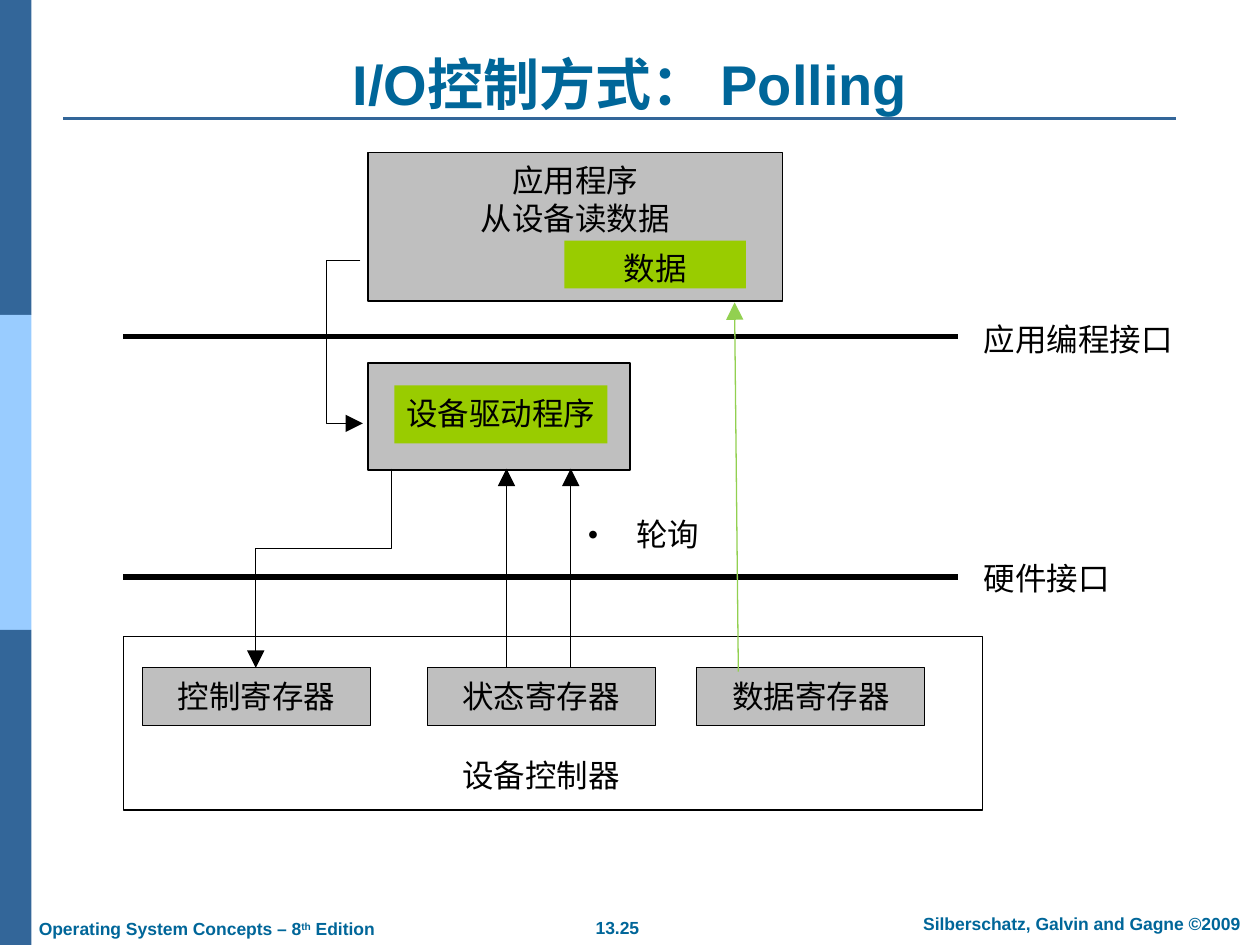
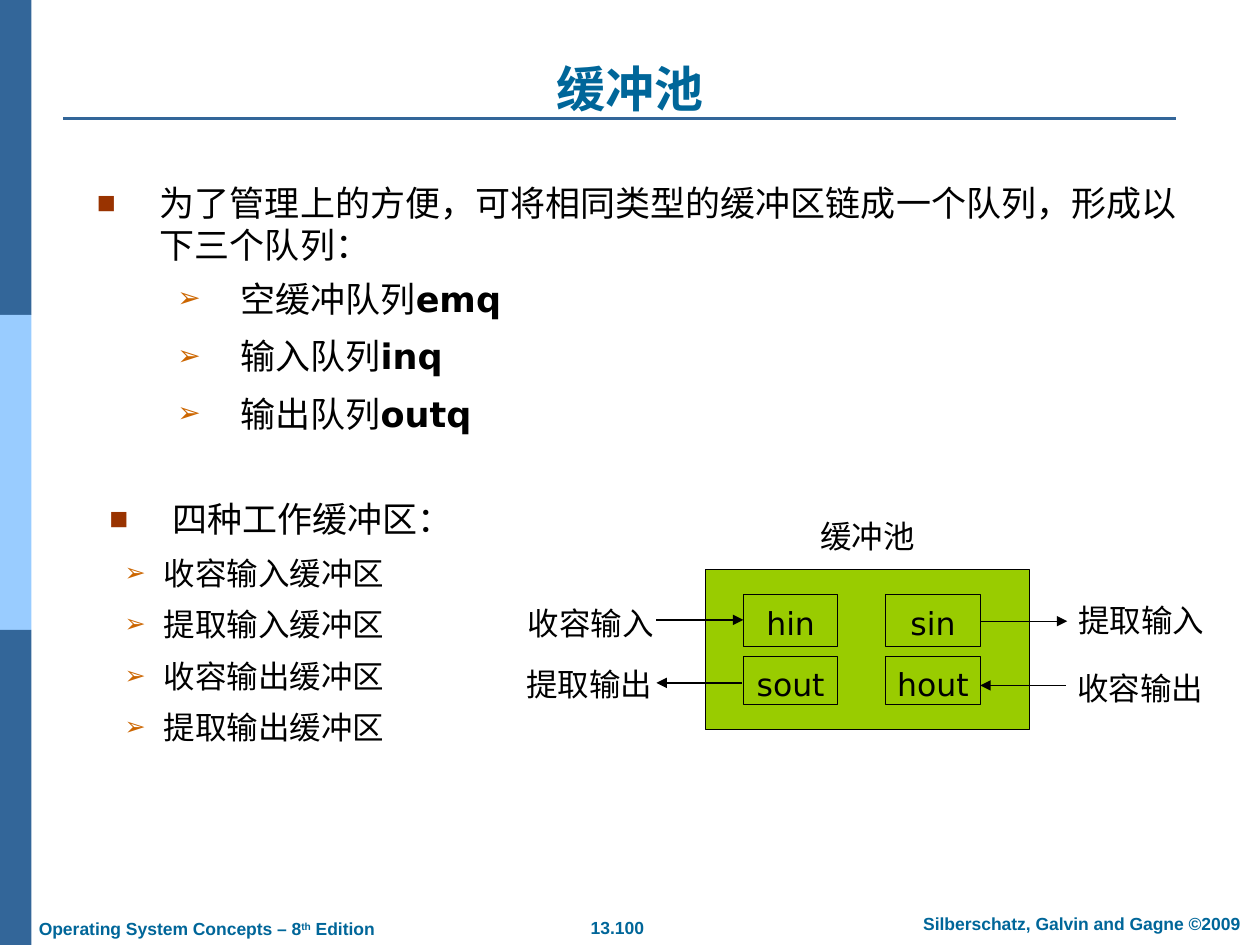
from lxml import etree
from pptx import Presentation
from pptx.dml.color import RGBColor
from pptx.enum.shapes import MSO_CONNECTOR, MSO_SHAPE
from pptx.enum.text import MSO_ANCHOR, MSO_AUTO_SIZE, PP_ALIGN
from pptx.oxml.ns import qn
from pptx.util import Inches, Pt

BAND = RGBColor(0x33, 0x66, 0x99)
BAND_LIGHT = RGBColor(0x99, 0xCC, 0xFF)
HEADING = RGBColor(0x00, 0x66, 0x99)
BLACK = RGBColor(0, 0, 0)
GREY = RGBColor(0xBF, 0xBF, 0xBF)
LIME = RGBColor(0x99, 0xCC, 0x00)
DATA_GREEN = RGBColor(0x92, 0xD0, 0x50)
LATIN, SANS, CJK = "Arial", "DejaVu Sans", "Noto Sans CJK SC"
LEFT, CENTER = PP_ALIGN.LEFT, PP_ALIGN.CENTER

# Bullet styles: sign, colour, percent, sign font, level, left margin, hanging, space before
SQUARE = ("■", "993300", 90, LATIN, 0, 0.88, 0.5, 8.8)
ARROW = ("➢", "CC6600", 80, SANS, 1, 1.31, 0.5, 8.8)
ARROW_NEAR = ("➢", "CC6600", 80, SANS, 1, 0.81, 0.31, 7.9)
DOT = ("•", "000000", 90, LATIN, 0, 0.38, 0.38, 0)


def write(shape, paragraphs, size=18, color=BLACK, font=CJK, bold=False,
          align=LEFT, wrap=False):
    """Fill a shape; a paragraph is (runs, size, bullet) or text, a run (text, font, bold, baseline)."""
    frame = shape.text_frame
    frame.word_wrap = wrap
    frame.auto_size = MSO_AUTO_SIZE.NONE
    frame.vertical_anchor = MSO_ANCHOR.TOP
    frame.margin_top = Inches(0.07)
    for index, content in enumerate(paragraphs):
        if isinstance(content, str):
            content = ([(content, font, bold, 0)], size, None)
        runs, points, bullet = content
        paragraph = frame.paragraphs[0] if index == 0 else frame.add_paragraph()
        paragraph.alignment = align
        paragraph.line_spacing = Pt(points * 1.2)
        if bullet:
            sign, tint, percent, sign_font, level, margin, hanging, before = bullet
            paragraph.level = level
            props = paragraph._p.get_or_add_pPr()
            props.set("marL", str(Inches(margin)))
            props.set("indent", str(-Inches(hanging)))
            fill = etree.SubElement(props, qn("a:buClr"))
            etree.SubElement(fill, qn("a:srgbClr"), val=tint)
            etree.SubElement(props, qn("a:buSzPct"), val=str(percent * 1000))
            etree.SubElement(props, qn("a:buFont"), typeface=sign_font)
            etree.SubElement(props, qn("a:buChar"), char=sign)
            if index:
                paragraph.space_before = Pt(before)
        for text, face, heavy, baseline in runs:
            run = paragraph.add_run()
            run.text = text
            run.font.size = Pt(points)
            run.font.bold = heavy
            run.font.color.rgb = color
            run.font.name = face
            etree.SubElement(run._r.rPr, qn("a:ea"), typeface=CJK)
            if baseline:
                run._r.rPr.set("baseline", str(baseline * 1000))


def connect(slide, start, end, color=BLACK, width=0.75, head=None, bend=None, turned=False):
    """Draw a line; bend is the place of the elbow as a share of the run, turned rotates by 90 degrees."""
    kind = MSO_CONNECTOR.STRAIGHT if bend is None else MSO_CONNECTOR.ELBOW
    line = slide.shapes.add_connector(kind, *[Inches(v) for v in (*start, *end)])
    line.line.color.rgb = color
    line.line.width = Pt(width)
    props = line._element.spPr
    if bend is not None:
        guides = props.find(qn("a:prstGeom")).get_or_add_avLst()
        etree.SubElement(guides, qn("a:gd"), name="adj1", fmla=f"val {round(bend * 100000)}")
    if turned:
        props.find(qn("a:xfrm")).set("rot", "5400000")
    if head:
        etree.SubElement(line.line._get_or_add_ln(), qn("a:tailEnd"),
                         type="triangle", w=head, len=head)
    etree.SubElement(props, qn("a:effectLst"))


prs = Presentation()
prs.slide_width, prs.slide_height = Inches(10), Inches(7.5)
title_only = prs.slide_layouts[5]

# Shared frame: title, side bands, rule and footers
slides = []
for heading, size, font, number in [("I/O控制方式： Polling", 32, LATIN, "13.25"),
                                    ("缓冲池", 28, CJK, "13.100")]:
    slide = prs.slides.add_slide(title_only)
    slides.append(slide)
    title = slide.shapes.title
    title.left, title.top, title.width, title.height = [Inches(v) for v in (0.5, 0.3, 9, 0.63)]
    write(title, [heading], size, HEADING, font, True, CENTER, True)
    title.text_frame.vertical_anchor = MSO_ANCHOR.BOTTOM
    title.text_frame.margin_bottom = 0

    for row, band_color in enumerate([BAND, BAND_LIGHT, BAND]):
        third = prs.slide_height // 3
        band = slide.shapes.add_shape(MSO_SHAPE.RECTANGLE, 0, row * third, Inches(0.25), third)
        band.shadow.inherit = False
        band.fill.solid()
        band.fill.fore_color.rgb = band_color
        band.line.fill.background()
    connect(slide, (0.5, 0.94), (9.33, 0.94), BAND, 1.5)

    edition = ([("Operating System Concepts – 8", LATIN, True, 0), ("th", LATIN, True, 30),
                (" Edition", LATIN, True, 0)], 10, None)
    for left, top, width, text, align in [
            (4.37, 7.23, 1.06, number, CENTER),
            (7.1, 7.2, 2.97, "Silberschatz, Galvin and Gagne ©2009", CENTER),
            (0.21, 7.24, 2.86, edition, LEFT)]:
        footer = slide.shapes.add_textbox(*[Inches(v) for v in (left, top, width, 0.27)])
        write(footer, [text], 10, HEADING, LATIN, True, align, align == CENTER)
        footer.text_frame.margin_top = Inches(0.05)

polling, pool = slides

# Boxes of both diagrams: slide, place, fill, outline, text, font
boxes = [
    (polling, (2.92, 1.21, 3.29, 1.18), GREY, BLACK, ["应用程序", "从设备读数据"], CJK),
    (polling, (4.48, 1.91, 1.44, 0.38), LIME, None, ["数据"], CJK),
    (polling, (2.92, 2.88, 2.08, 0.85), GREY, BLACK, [], CJK),
    (polling, (3.13, 3.06, 1.69, 0.46), LIME, None, ["设备驱动程序"], CJK),
    (polling, (0.98, 5.05, 6.82, 1.38), None, BLACK, [], CJK),
    (pool, (5.6, 4.52, 2.57, 1.27), LIME, BLACK, [], SANS),
]
for left, register in [(1.13, "控制寄存器"), (3.39, "状态寄存器"), (5.53, "数据寄存器")]:
    boxes.append((polling, (left, 5.3, 1.81, 0.46), GREY, BLACK, [register], CJK))
for top, height, buffers in [(4.72, 0.41, ("hin", "sin")), (5.21, 0.38, ("sout", "hout"))]:
    for column, buffer in enumerate(buffers):
        place = (5.9 + 1.13 * column, top, 0.75, height)
        boxes.append((pool, place, LIME, BLACK, [buffer], SANS))

for slide, place, fill, outline, lines, font in boxes:
    box = slide.shapes.add_shape(MSO_SHAPE.RECTANGLE, *[Inches(v) for v in place])
    box.shadow.inherit = False
    if fill is None:
        box.fill.background()
    else:
        box.fill.solid()
        box.fill.fore_color.rgb = fill
    if outline is None:
        box.line.fill.background()
    else:
        box.line.color.rgb = outline
        box.line.width = Pt(0.75)
    if lines:
        write(box, lines, font=font, align=CENTER)

# Labels beside the boxes
for slide, left, top, width, label in [
        (polling, 3.57, 5.93, 1.45, "设备控制器"),
        (polling, 7.71, 2.47, 1.7, "应用编程接口"),
        (polling, 7.71, 4.37, 1.2, "硬件接口"),
        (polling, 4.57, 4.02, 1.13, ([("轮询", SANS, False, 0)], 18, DOT)),
        (pool, 6.41, 4.03, 0.95, "缓冲池"),
        (pool, 4.09, 4.72, 1.2, "收容输入"),
        (pool, 4.08, 5.21, 1.2, "提取输出"),
        (pool, 8.46, 4.7, 1.2, "提取输入"),
        (pool, 8.45, 5.24, 1.2, "收容输出")]:
    write(slide.shapes.add_textbox(*[Inches(v) for v in (left, top, width, 0.4)]), [label])

# Interfaces and data flow between program, driver and registers
for interface in (2.67, 4.58):
    connect(polling, (7.6, interface), (0.98, interface), width=3.25)
for status in (4.02, 4.53):
    connect(polling, (status, 5.3), (status, 3.72), head="lg")
connect(polling, (5.86, 5.33), (5.83, 2.4), DATA_GREEN, head="lg")
connect(polling, (2.86, 2.07), (2.88, 3.36), head="lg", bend=-13.5)
connect(polling, (1.78, 3.97), (3.36, 5.05), head="lg", bend=0.4, turned=True)

# Flow into and out of the buffers
for start, end, row in [(5.21, 5.9, 4.92), (7.78, 8.47, 4.93),
                        (5.89, 5.21, 5.42), (8.46, 7.78, 5.44)]:
    connect(pool, (start, row), (end, row), head="med")

# Bulleted text on the buffer pool
intro = "为了管理上的方便，可将相同类型的缓冲区链成一个队列，形成以下三个队列："
queues = [("空缓冲队列", "emq"), ("输入队列", "inq"), ("输出队列", "outq")]
work_buffers = ["收容输入缓冲区", "提取输入缓冲区", "收容输出缓冲区", "提取输出缓冲区"]
for place, paragraphs in [
        ((0.29, 1.37, 9.21, 1.11), [([(intro, CJK, False, 0)], 20, SQUARE)]),
        ((0.5, 2.13, 9.5, 4.82),
         [([(name, CJK, False, 0), (code, SANS, True, 0)], 20, ARROW) for name, code in queues]),
        ((0.39, 3.88, 4.21, 2.79),
         [([("四种工作缓冲区：", CJK, False, 0)], 20, SQUARE)]
         + [([(name, CJK, False, 0)], 18, ARROW_NEAR) for name in work_buffers])]:
    write(pool.shapes.add_textbox(*[Inches(v) for v in place]), paragraphs, wrap=True)

prs.save("out.pptx")
